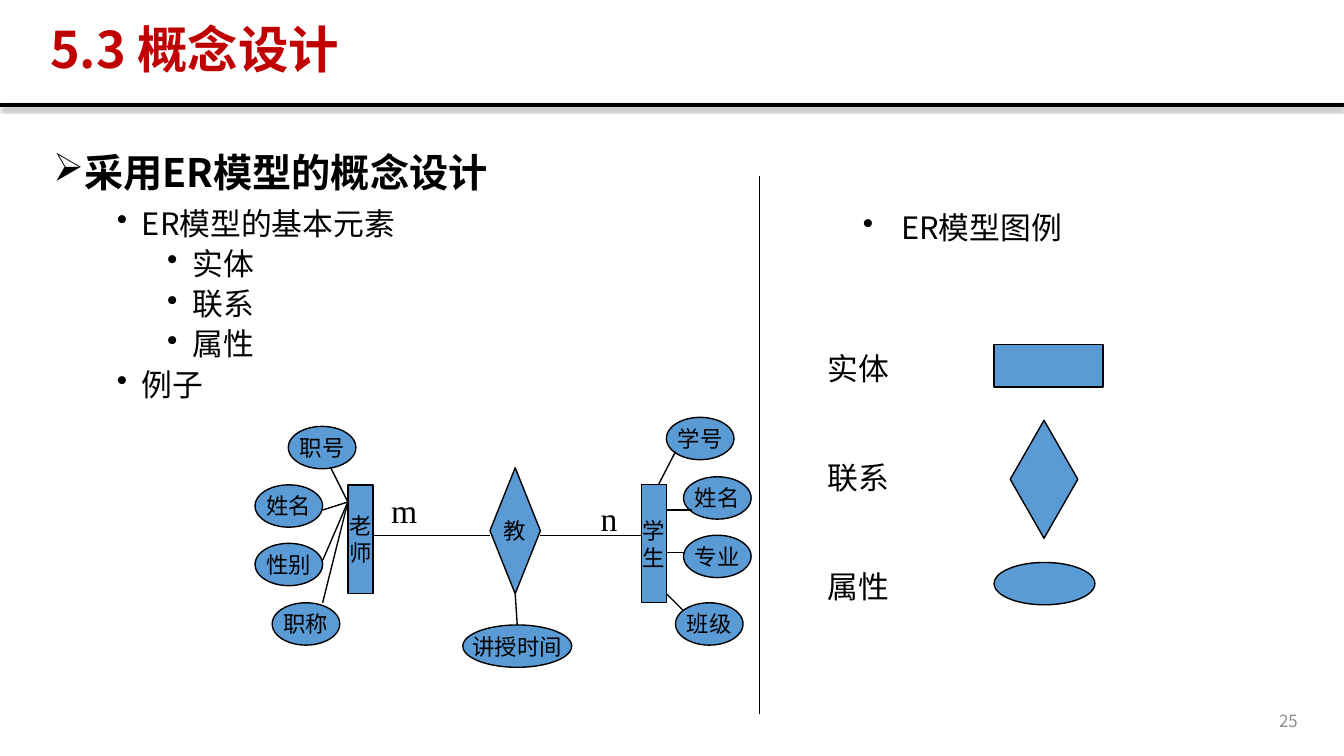
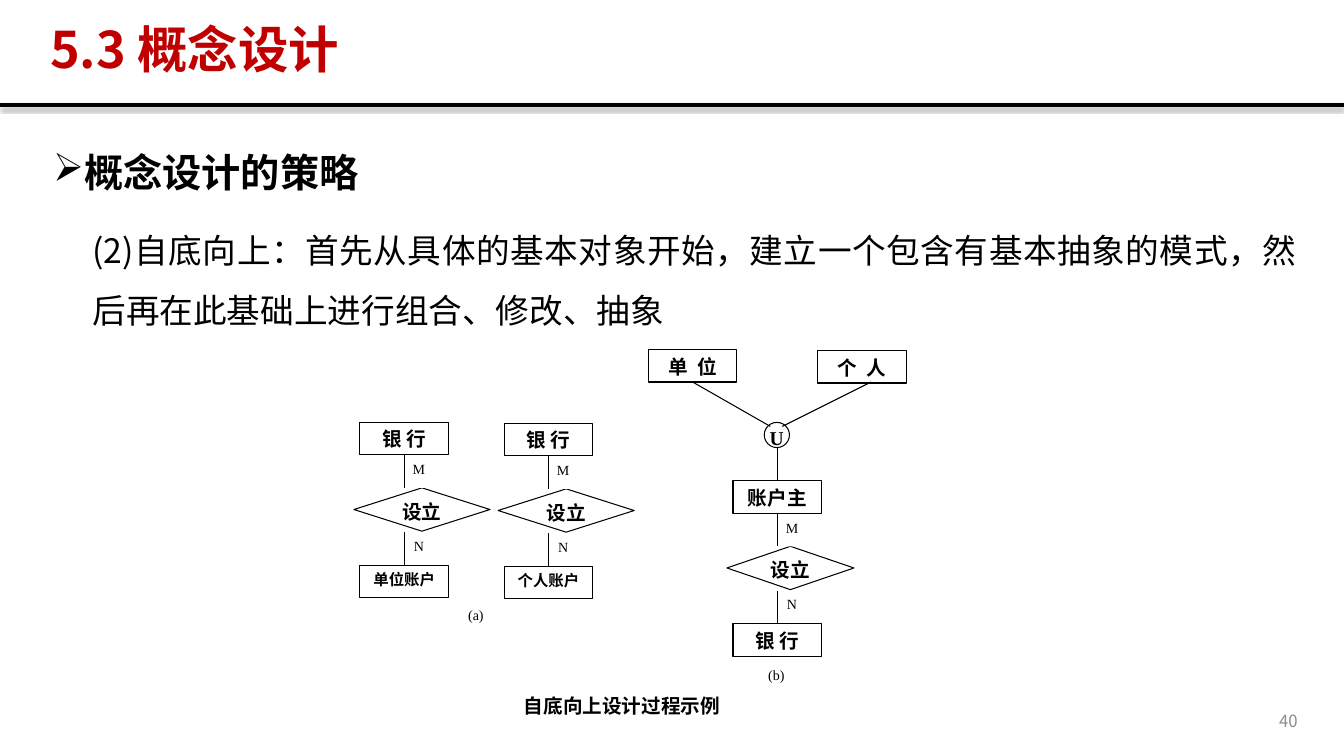
from dataclasses import dataclass

from lxml.etree import SubElement
from pptx import Presentation
from pptx.dml.color import RGBColor
from pptx.enum.shapes import MSO_CONNECTOR, MSO_SHAPE
from pptx.enum.text import MSO_ANCHOR, PP_ALIGN
from pptx.oxml.ns import qn
from pptx.util import Pt

PX = 9144  # EMU in one px; 100 px make an inch
TOP, BOTTOM = 0, 2  # connection sites
RECTANGLE, DIAMOND, ELLIPSE = MSO_SHAPE.RECTANGLE, MSO_SHAPE.DIAMOND, MSO_SHAPE.OVAL
DEFAULT_INSETS = (10, 5, 10, 5)
NO_INSETS = (0, 0, 0, 0)
DIAMOND_INSETS = (10, 1, 10, 5)


@dataclass(frozen=True)
class Theme:
    black = RGBColor(0x00, 0x00, 0x00)
    white = RGBColor(0xFF, 0xFF, 0xFF)
    red = RGBColor(0xC0, 0x00, 0x00)
    gray = RGBColor(0x8C, 0x8C, 0x8C)
    blue = RGBColor(0x5B, 0x9B, 0xD5)
    sans, serif = "Noto Sans CJK SC", "Times New Roman"
    # Type style: size, bold, font, colour
    type_styles = {
        "title": (36, True, sans, red),
        "heading": (28, True, sans, black),
        "body": (24, False, sans, black),
        "item": (22, False, sans, black),
        "page": (12, False, sans, gray),
        "cardinality": (24, False, serif, black),
        "node": (16, False, serif, black),
        "box": (14, True, serif, black),
        "small box": (11, True, serif, black),
        "label": (10, False, serif, black),
    }
    # Paragraph style: attributes, left margin, first-line indent, bullet
    paragraph_styles = {
        "left": ({"alignment": PP_ALIGN.LEFT}, 0, 0, None),
        "center": ({"alignment": PP_ALIGN.CENTER}, 0, 0, None),
        "right": ({"alignment": PP_ALIGN.RIGHT}, 0, 0, None),
        "title": ({"alignment": PP_ALIGN.JUSTIFY, "line_spacing": 0.9}, 0, 0, None),
        "heading": ({"alignment": PP_ALIGN.JUSTIFY, "line_spacing": 1.2}, 25, -25, "➢"),
        "body": ({"alignment": PP_ALIGN.JUSTIFY, "line_spacing": 1.5,
                  "space_before": Pt(10)}, 39, 0, None),
        "legend": ({"alignment": PP_ALIGN.LEFT}, 38, -38, "•"),
        "item": ({"alignment": PP_ALIGN.JUSTIFY, "line_spacing": 0.9, "level": 1,
                  "space_before": Pt(5)}, 75, -25, "•"),
        "subitem": ({"alignment": PP_ALIGN.JUSTIFY, "line_spacing": 0.9, "level": 2,
                     "space_before": Pt(5)}, 125, -25, "•"),
    }


class Deck:
    def __init__(self, theme):
        self.theme = theme
        self.presentation = Presentation()
        self.presentation.slide_width = 1333 * PX
        self.presentation.slide_height = 750 * PX
        self.slide = None

    def new_slide(self, title, page):
        """Start a slide with its header rule, title and page number."""
        self.slide = self.presentation.slides.add_slide(self.presentation.slide_layouts[6])
        self.line((0, 104), (1333, 104), width=3, shadow=True)
        self.text(40, 19, 1170, 65, [(title, "title", "title")], MSO_ANCHOR.MIDDLE)
        self.text(997, 695, 300, 40, [(page, "page", "right")], MSO_ANCHOR.MIDDLE)

    def text(self, left, top, width, height, paragraphs, anchor=MSO_ANCHOR.TOP):
        shape = self.slide.shapes.add_textbox(left * PX, top * PX, width * PX, height * PX)
        self._fill_text(shape, paragraphs, anchor)

    def shape(self, kind, left, top, width, height, paragraphs=(), fill=None, line=0.75,
              anchor=MSO_ANCHOR.TOP, insets=DEFAULT_INSETS, wrap=True):
        shape = self.slide.shapes.add_shape(kind, left * PX, top * PX, width * PX, height * PX)
        shape.shadow.inherit = False
        shape.fill.solid()
        shape.fill.fore_color.rgb = fill or self.theme.white
        if line:
            shape.line.color.rgb = self.theme.black
            shape.line.width = Pt(line)
        else:
            shape.line.fill.background()
        self._fill_text(shape, paragraphs, anchor, insets, wrap)
        return shape

    def line(self, start, end, width=1.0, begin=None, finish=None, shadow=False):
        """Draw a line; begin and finish are (shape, site) joins."""
        connector = self.slide.shapes.add_connector(
            MSO_CONNECTOR.STRAIGHT, *(value * PX for value in (*start, *end)))
        connector.line.color.rgb = self.theme.black
        connector.line.width = Pt(width)
        if begin:
            connector.begin_connect(*begin)
        if finish:
            connector.end_connect(*finish)
        effects = SubElement(connector._element.spPr, qn("a:effectLst"))
        if shadow:
            outer = SubElement(effects, qn("a:outerShdw"), blurRad="40000", dist="23000",
                               dir="5400000", rotWithShape="0")
            color = SubElement(outer, qn("a:srgbClr"), val=str(self.theme.black))
            SubElement(color, qn("a:alpha"), val="35000")

    def node(self, kind, left, top, width, height, *lines):
        """Blue ER symbol with one centred paragraph per line."""
        return self.shape(kind, left, top, width, height,
                          [(line, "node", "center") for line in lines],
                          self.theme.blue, 1, MSO_ANCHOR.MIDDLE, wrap=False)

    def box(self, left, top, text, style="box", spacing=0):
        """White outlined box."""
        return self.shape(RECTANGLE, left, top, 88, 32, [(text, style, "center", spacing)])

    def label(self, left, top, width, text, style="label"):
        self.shape(RECTANGLE, left, top, width, 27, [(text, style, "center")],
                   line=0, insets=NO_INSETS)

    def relation_chain(self, left, top, owner, account, account_style, diamond_width):
        """Box, diamond and box, one below the other, with M and N beside the links."""
        middle = left + 44
        self.shape(DIAMOND, left - 6, top + 65, diamond_width, 43,
                   [("设立", "box", "center")], insets=DIAMOND_INSETS)
        owner_box = self.box(left, top, owner)
        account_box = self.box(left, top + 142, account, account_style)
        self.line((middle, top + 32), (middle, top + 65), 0.75, begin=(owner_box, BOTTOM))
        self.line((middle, top + 109), (middle, top + 142), 0.75, finish=(account_box, TOP))
        for offset, text in ((38, "M"), (114, "N")):
            self.label(left + 50, top + offset, 17, text)
        return owner_box

    def _fill_text(self, shape, paragraphs, anchor, insets=DEFAULT_INSETS, wrap=True):
        frame = shape.text_frame
        sides = ("margin_left", "margin_top", "margin_right", "margin_bottom")
        settings = {side: inset * PX for side, inset in zip(sides, insets)}
        settings.update(word_wrap=wrap, vertical_anchor=anchor)
        for name, value in settings.items():
            setattr(frame, name, value)
        for index, item in enumerate(paragraphs):
            paragraph = frame.add_paragraph() if index else frame.paragraphs[0]
            self._write(paragraph, index == 0, *item)

    def _write(self, paragraph, first, text, type_style, paragraph_style, spacing=0):
        attributes, margin, indent, bullet = self.theme.paragraph_styles[paragraph_style]
        properties = paragraph._p.get_or_add_pPr()
        properties.set("marL", str(margin * PX))
        properties.set("indent", str(indent * PX))
        if bullet:
            SubElement(properties, qn("a:buChar"), char=bullet)
        else:
            SubElement(properties, qn("a:buNone"))
        for name, value in attributes.items():
            if not (first and name == "space_before"):
                setattr(paragraph, name, value)
        size, bold, name, color = self.theme.type_styles[type_style]
        run = paragraph.add_run()
        run.text = text
        for key, value in {"size": Pt(size), "bold": bold, "name": name}.items():
            setattr(run.font, key, value)
        run.font.color.rgb = color
        run_properties = run._r.get_or_add_rPr()
        SubElement(run_properties, qn("a:ea"), typeface=self.theme.sans)
        if spacing:
            run_properties.set("spc", str(spacing))


def er_model_slide(deck):
    deck.new_slide("5.3 概念设计", "25")
    deck.text(43, 133, 1253, 542, [("采用ER模型的概念设计", "heading", "heading")])
    deck.text(56, 202, 372, 193, [
        ("ER模型的基本元素", "item", "item"),
        *((name, "item", "subitem") for name in ("实体", "联系", "属性")),
        ("例子", "item", "item")])

    # Legend
    deck.line((753, 175), (753, 708))
    deck.text(846, 202, 233, 47, [("ER模型图例", "item", "legend")])
    for row, name in enumerate(("实体", "联系", "属性")):
        deck.text(811, 342 + 108 * row, 125, 47, [(name, "item", "left")])
    deck.node(RECTANGLE, 986, 342, 108, 42)
    deck.node(DIAMOND, 1002, 417, 67, 117)
    deck.node(ELLIPSE, 986, 558, 100, 42)

    # Entities and their relationship
    deck.node(RECTANGLE, 345, 481, 25, 108, "老", "师")
    deck.node(RECTANGLE, 636, 481, 25, 117, "学", "生")
    teaches = deck.node(DIAMOND, 486, 464, 50, 125, "教")
    deck.line((536, 531), (636, 531))
    deck.line((486, 531), (370, 531))
    for left, top, width, text in ((378, 481, 42, "m"), (586, 489, 50, "n")):
        deck.text(left, top, width, 50, [(text, "cardinality", "left")])

    # Attributes, each with the ends of its link
    teacher_side = (345, 498)
    for left, top, name, start, end in (
            (661, 414, "学号", (670, 448), (653, 481)),
            (678, 473, "姓名", (686, 506), (661, 506)),
            (678, 531, "专业", (678, 548), (661, 548)),
            (670, 598, "班级", (678, 606), (661, 589)),
            (270, 598, "职称", (320, 598), teacher_side),
            (253, 539, "性别", (320, 556), teacher_side),
            (253, 481, "姓名", (320, 506), teacher_side),
            (286, 423, "职号", (328, 464), teacher_side)):
        deck.node(ELLIPSE, left, top, 67, 42, name)
        deck.line(start, end)
    teaching_time = deck.node(ELLIPSE, 459, 620, 108, 42, "讲授时间")
    deck.line((511, 589), (513, 620), begin=(teaches, BOTTOM), finish=(teaching_time, TOP))


def bottom_up_slide(deck):
    deck.new_slide("5.3 概念设计", "40")
    deck.text(43, 133, 1253, 542, [
        ("概念设计的策略", "heading", "heading"),
        ("(2)自底向上：首先从具体的基本对象开始，建立一个包含有基本抽象的模式，"
         "然后再在此基础上进行组合、修改、抽象", "body", "body")])

    # (a) Separate schemas
    deck.relation_chain(357, 419, "银 行", "单位账户", "small box", 135)
    deck.relation_chain(500, 420, "银 行", "个人账户", "small box", 135)
    deck.label(453, 602, 38, "(a)")

    # (b) Combined schema
    holder = deck.relation_chain(727, 477, "账户主", "银 行", "box", 126)
    company = deck.box(643, 347, "单 位", spacing=175)
    deck.box(811, 348, "个 人", spacing=175)
    deck.shape(ELLIPSE, 758, 419, 25, 25, [("U", "box", "center")], insets=NO_INSETS)
    deck.line((687, 379), (764, 423), 0.75, begin=(company, BOTTOM))
    deck.line((864, 379), (776, 423), 0.75)
    deck.line((771, 444), (771, 477), 0.75, finish=(holder, TOP))
    deck.label(751, 661, 38, "(b)")
    deck.label(470, 688, 294, "自底向上设计过程示例", "box")


def main():
    deck = Deck(Theme())
    er_model_slide(deck)
    bottom_up_slide(deck)
    deck.presentation.save("out.pptx")


if __name__ == "__main__":
    main()
